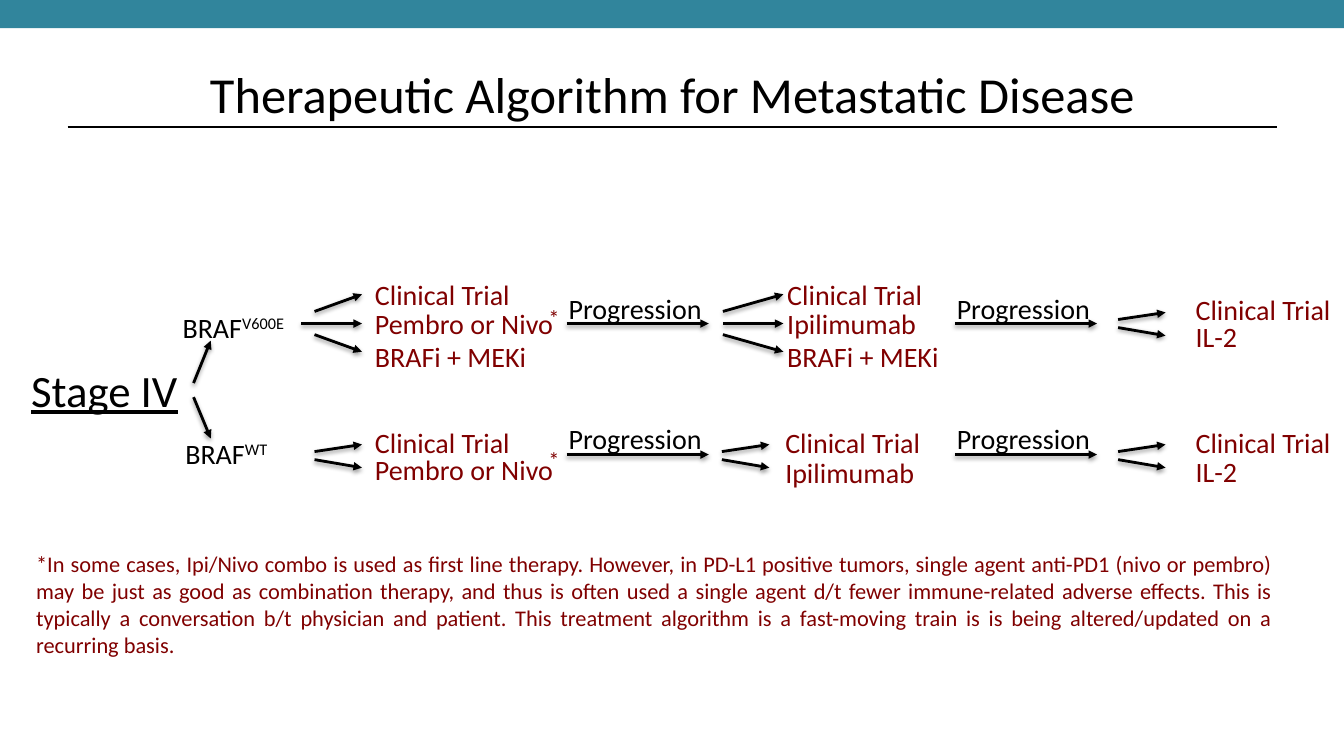
"""Build the slide showing the therapeutic algorithm for metastatic disease."""
from dataclasses import dataclass

from lxml.etree import SubElement
from pptx import Presentation
from pptx.dml.color import RGBColor
from pptx.enum.shapes import MSO_CONNECTOR, MSO_SHAPE
from pptx.enum.text import MSO_ANCHOR, MSO_AUTO_SIZE, PP_ALIGN
from pptx.oxml.ns import qn
from pptx.util import Inches, Pt


@dataclass(frozen=True)
class Theme:
    font: str = "Calibri"
    ink: RGBColor = RGBColor(0x00, 0x00, 0x00)
    therapy: RGBColor = RGBColor(0x80, 0x00, 0x00)
    band: RGBColor = RGBColor(0x31, 0x85, 0x9C)
    title: int = 36
    stage: int = 32
    label: int = 20
    note: int = 16
    line: int = 2


theme = Theme()
deck = Presentation()
deck.slide_width, deck.slide_height = Inches(13.33), Inches(7.5)
page = deck.slides.add_slide(deck.slide_layouts[6])


def add_text(text, left, top, width, height=0.44, size=theme.label, color=theme.ink,
             align=PP_ALIGN.LEFT, superscript=""):
    box = page.shapes.add_textbox(Inches(left), Inches(top), Inches(width), Inches(height))
    frame = box.text_frame
    frame.text = text
    frame.word_wrap = True
    frame.auto_size = MSO_AUTO_SIZE.SHAPE_TO_FIT_TEXT
    para = frame.paragraphs[0]
    para.alignment = align
    if superscript:
        raised = para.add_run()
        raised.text = superscript
        raised.font._element.set("baseline", "30000")
    for span in para.runs:
        span.font.name = theme.font
        span.font.size = Pt(size)
        span.font.color.rgb = color
    return box


def add_line(start_x, start_y, end_x, end_y, arrow=True):
    line = page.shapes.add_connector(MSO_CONNECTOR.STRAIGHT, Inches(start_x), Inches(start_y),
                                     Inches(end_x), Inches(end_y))
    line.line.color.rgb = theme.ink
    line.line.width = Pt(theme.line)
    properties = line._element.spPr
    if arrow:
        SubElement(properties.get_or_add_ln(), qn("a:tailEnd"), type="triangle")
    effects = SubElement(properties, qn("a:effectLst"))
    if arrow:
        shadow = SubElement(effects, qn("a:outerShdw"), blurRad="40000", dist="20000",
                            dir="5400000", rotWithShape="0")
        black = SubElement(shadow, qn("a:srgbClr"), val=str(theme.ink))
        SubElement(black, qn("a:alpha"), val="38000")


stage = add_text("Stage IV", 0.21, 3.55, 1.94, 0.64, theme.stage)
stage.text_frame.paragraphs[0].runs[0].font.underline = True
add_line(1.92, 3.8, 2.09, 3.38)
add_line(1.92, 3.94, 2.09, 4.35)
for mutation, left, top in (("V600E", 1.63, 3.03), ("WT", 1.56, 4.28)):
    add_text("BRAF", left, top, 1.37, align=PP_ALIGN.CENTER, superscript=mutation)

two_way = ((-0.04, -0.11), (0.04, 0.12))
three_way = ((-0.12, -0.29), (0.11, 0.28))
fans = (
    (3.12, 3.59, 3.21, three_way),
    (7.17, 7.77, 3.21, three_way),
    (11.09, 11.56, 3.21, two_way),
    (3.12, 3.59, 4.52, two_way),
    (7.16, 7.63, 4.52, two_way),
    (11.09, 11.56, 4.52, two_way),
)
for start, end, middle, spread in fans:
    for near, far in spread:
        add_line(start, middle + near, end, middle + far)
for start in (2.99, 7.17):
    add_line(start, 3.21, start + 0.6, 3.21)

for arrow_y, label_top in ((3.21, 2.84), (4.51, 4.13)):
    for left in (5.45, 9.3):
        add_line(left + 0.17, arrow_y, left + 1.58, arrow_y)
        add_text("Progression", left, label_top, 1.7, align=PP_ALIGN.CENTER)

therapies = (
    (3.62, (("Clinical Trial", 2.7), ("Pembro or Nivo", 2.99), ("BRAFi + MEKi", 3.32))),
    (7.71, (("Clinical Trial", 2.7), ("Ipilimumab", 2.99), ("BRAFi + MEKi", 3.32))),
    (11.76, (("Clinical Trial", 2.85), ("IL-2", 3.12))),
    (3.62, (("Clinical Trial", 4.17), ("Pembro or Nivo", 4.44))),
    (7.69, (("Clinical Trial", 4.17), ("Ipilimumab", 4.47))),
    (11.76, (("Clinical Trial", 4.17), ("IL-2", 4.46))),
)
widths = {"Clinical Trial": 1.86, "Pembro or Nivo": 2.3, "Ipilimumab": 2.1,
          "BRAFi + MEKi": 2, "IL-2": 0.89}
for left, options in therapies:
    for name, top in options:
        add_text(name, left, top, widths[name], color=theme.therapy)

title = add_text("Therapeutic Algorithm for Metastatic Disease", 0.67, 0.3, 12, 1.25,
                 theme.title, align=PP_ALIGN.CENTER)
title.text_frame.auto_size = MSO_AUTO_SIZE.NONE
title.text_frame.vertical_anchor = MSO_ANCHOR.MIDDLE
add_line(0.67, 1.26, 12.67, 1.26, arrow=False)

footnote = (
    "*In some cases, Ipi/Nivo combo is used as first line therapy. However, in PD-L1 positive "
    "tumors, single agent anti-PD1 (nivo or pembro) may be just as good as combination therapy, "
    "and thus is often used a single agent d/t fewer immune-related adverse effects. This is "
    "typically a conversation b/t physician and patient. This treatment algorithm is a "
    "fast-moving train is is being altered/updated on a recurring basis."
)
add_text(footnote, 0.26, 5.41, 12.46, 1.18, theme.note, theme.therapy, PP_ALIGN.JUSTIFY)
for top in (2.97, 4.38):
    add_text("*", 5.34, top, 0.35, 0.37, theme.note, theme.therapy, PP_ALIGN.JUSTIFY)

band = page.shapes.add_shape(MSO_SHAPE.RECTANGLE, 0, 0, deck.slide_width, Inches(0.28))
band.shadow.inherit = False
band.fill.solid()
band.fill.fore_color.rgb = theme.band
band.line.fill.background()

deck.save("out.pptx")
